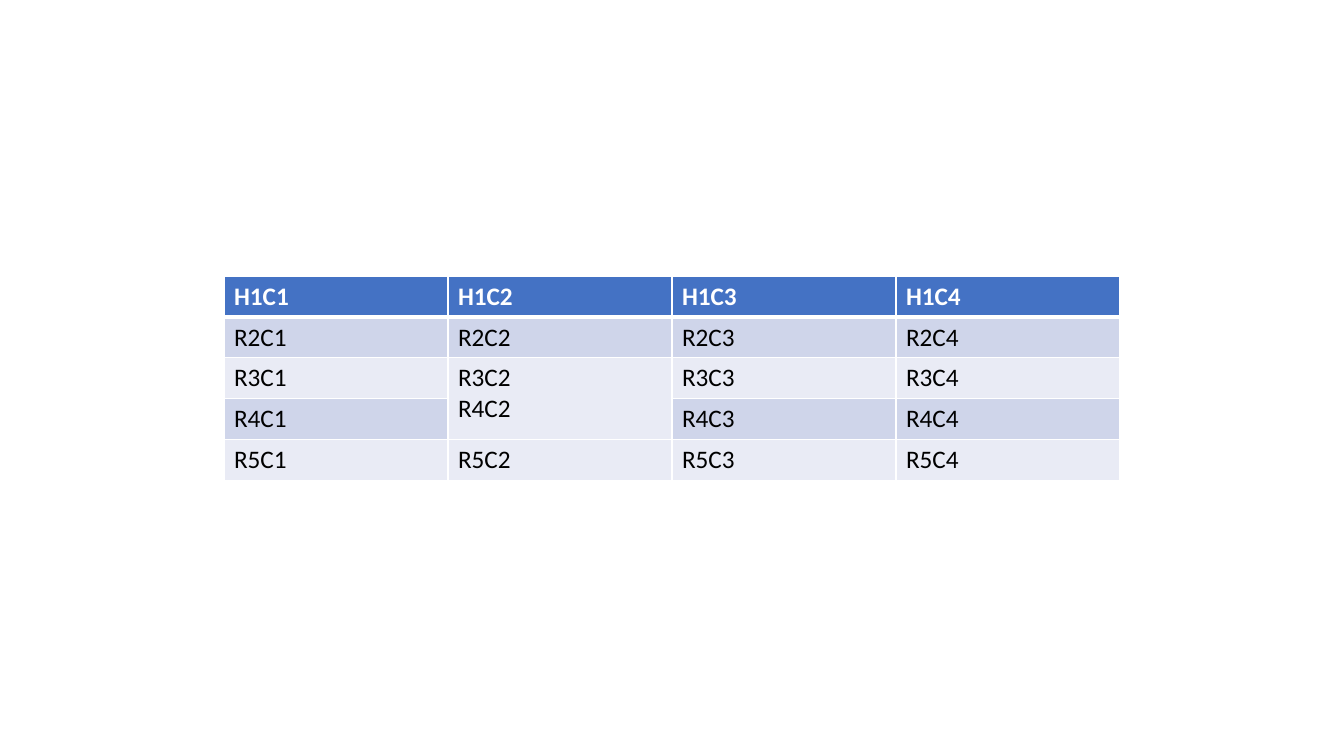
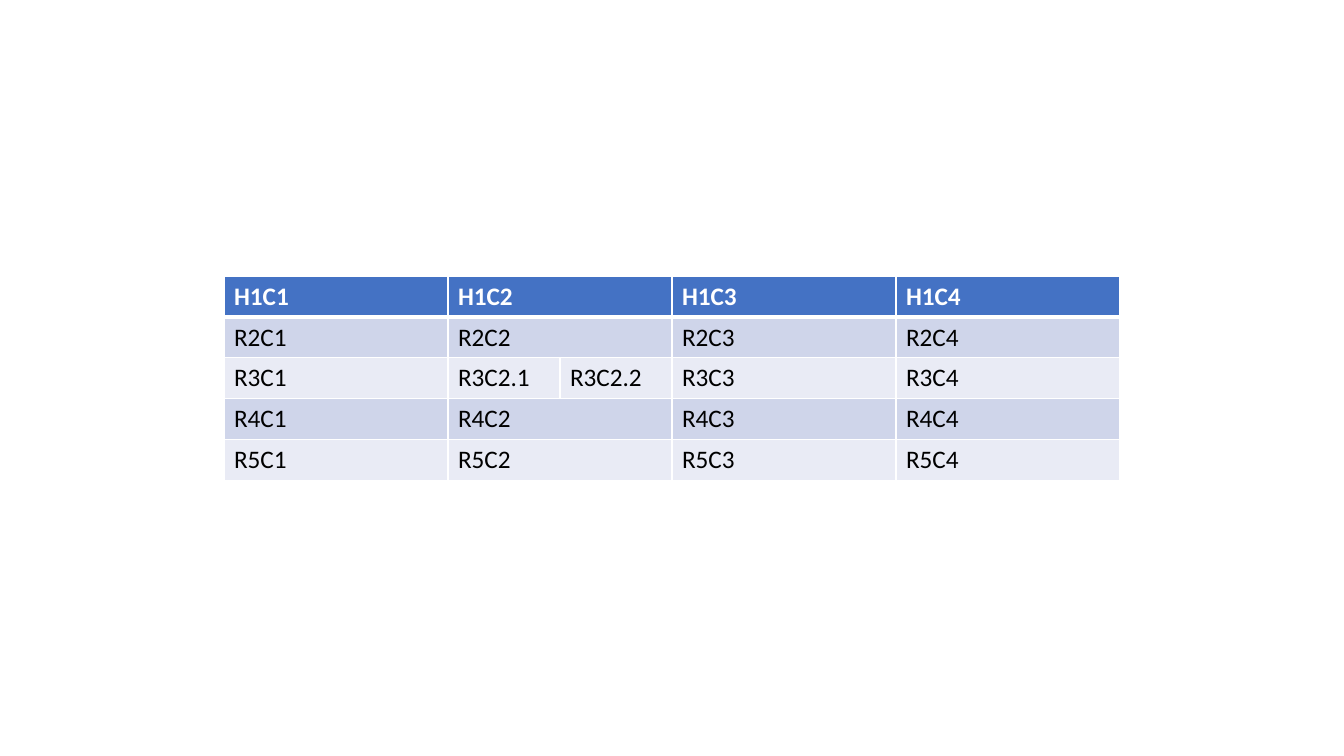
from lxml import etree
from pptx import Presentation
from pptx import util as u
from pptx.dml.color import RGBColor
from pptx.oxml import ns

PX = 5080  # EMU per px, 180 px to the inch
SLIDE_SIZE = (2400, 1350)
TABLE_LEFT, TABLE_TOP = 400, 493
COLUMN_WIDTH, ROW_HEIGHT = 400, 73
ROW_COUNT, COLUMN_COUNT = 5, 4
FONT, FONT_SIZE = "Calibri", 18
THIN, THICK = 1, 3
COLORS = {
    "header": "4472C4",
    "dark_band": "CFD5EA",
    "light_band": "E9EBF5",
    "border": "FFFFFF",
    "header_text": "FFFFFF",
    "body_text": "000000",
}


def px(length):
    return u.Emu(length * PX)


def color(name):
    return RGBColor.from_string(COLORS[name])


def grid_labels():
    return [
        [f"{'H' if row == 1 else 'R'}{row}C{column}" for column in range(1, COLUMN_COUNT + 1)]
        for row in range(1, ROW_COUNT + 1)
    ]


def set_borders(cell, top, bottom):
    """Draw all four borders; top and bottom are widths in points."""
    properties = cell._tc.get_or_add_tcPr()
    sides = (("lnL", THIN), ("lnR", THIN), ("lnT", top), ("lnB", bottom))
    for index, (side, width) in enumerate(sides):
        line = etree.Element(ns.qn(f"a:{side}"), w=str(u.Pt(width)))
        fill = etree.SubElement(line, ns.qn("a:solidFill"))
        etree.SubElement(fill, ns.qn("a:srgbClr"), val=COLORS["border"])
        properties.insert(index, line)


def style_cell(cell, row):
    is_header = row == 0
    band = "header" if is_header else "dark_band" if row % 2 else "light_band"
    cell.fill.solid()
    cell.fill.fore_color.rgb = color(band)
    set_borders(cell, THICK if row == 1 else THIN, THICK if is_header else THIN)
    for paragraph in cell.text_frame.paragraphs:
        font = paragraph.font
        font.name = FONT
        font.size = u.Pt(FONT_SIZE)
        font.bold = is_header
        font.color.rgb = color("header_text" if is_header else "body_text")


def add_table_slide(presentation, labels, widths, merges):
    """Add a slide with one table; merges holds (first, last) cell positions."""
    slide = presentation.slides.add_slide(presentation.slide_layouts[6])
    table = slide.shapes.add_table(
        len(labels), len(widths), px(TABLE_LEFT), px(TABLE_TOP),
        px(sum(widths)), px(ROW_HEIGHT * len(labels)),
    ).table
    for column, width in zip(table.columns, widths):
        column.width = px(width)
    for row, row_labels in enumerate(labels):
        table.rows[row].height = px(ROW_HEIGHT)
        for column, label in enumerate(row_labels):
            table.cell(row, column).text = label
    # Merging gathers the text of the joined cells as paragraphs.
    for first, last in merges:
        table.cell(*first).merge(table.cell(*last))
    for row in range(len(labels)):
        for column in range(len(widths)):
            style_cell(table.cell(row, column), row)


def add_merged_rows_slide(presentation):
    widths = [COLUMN_WIDTH] * COLUMN_COUNT
    add_table_slide(presentation, grid_labels(), widths, [((2, 1), (3, 1))])


def add_split_cell_slide(presentation):
    """Split one cell by halving its column and merging the halves elsewhere."""
    split_row, split_column = 2, 1
    labels = grid_labels()
    for row, row_labels in enumerate(labels):
        label = row_labels[split_column]
        halves = [f"{label}.1", f"{label}.2"] if row == split_row else [label, ""]
        row_labels[split_column:split_column + 1] = halves
    widths = [COLUMN_WIDTH] * COLUMN_COUNT
    widths[split_column:split_column + 1] = [COLUMN_WIDTH // 2] * 2
    merges = [
        ((row, split_column), (row, split_column + 1))
        for row in range(ROW_COUNT) if row != split_row
    ]
    add_table_slide(presentation, labels, widths, merges)


def main():
    presentation = Presentation()
    presentation.slide_width, presentation.slide_height = map(px, SLIDE_SIZE)
    add_merged_rows_slide(presentation)
    add_split_cell_slide(presentation)
    presentation.save("out.pptx")


if __name__ == "__main__":
    main()
